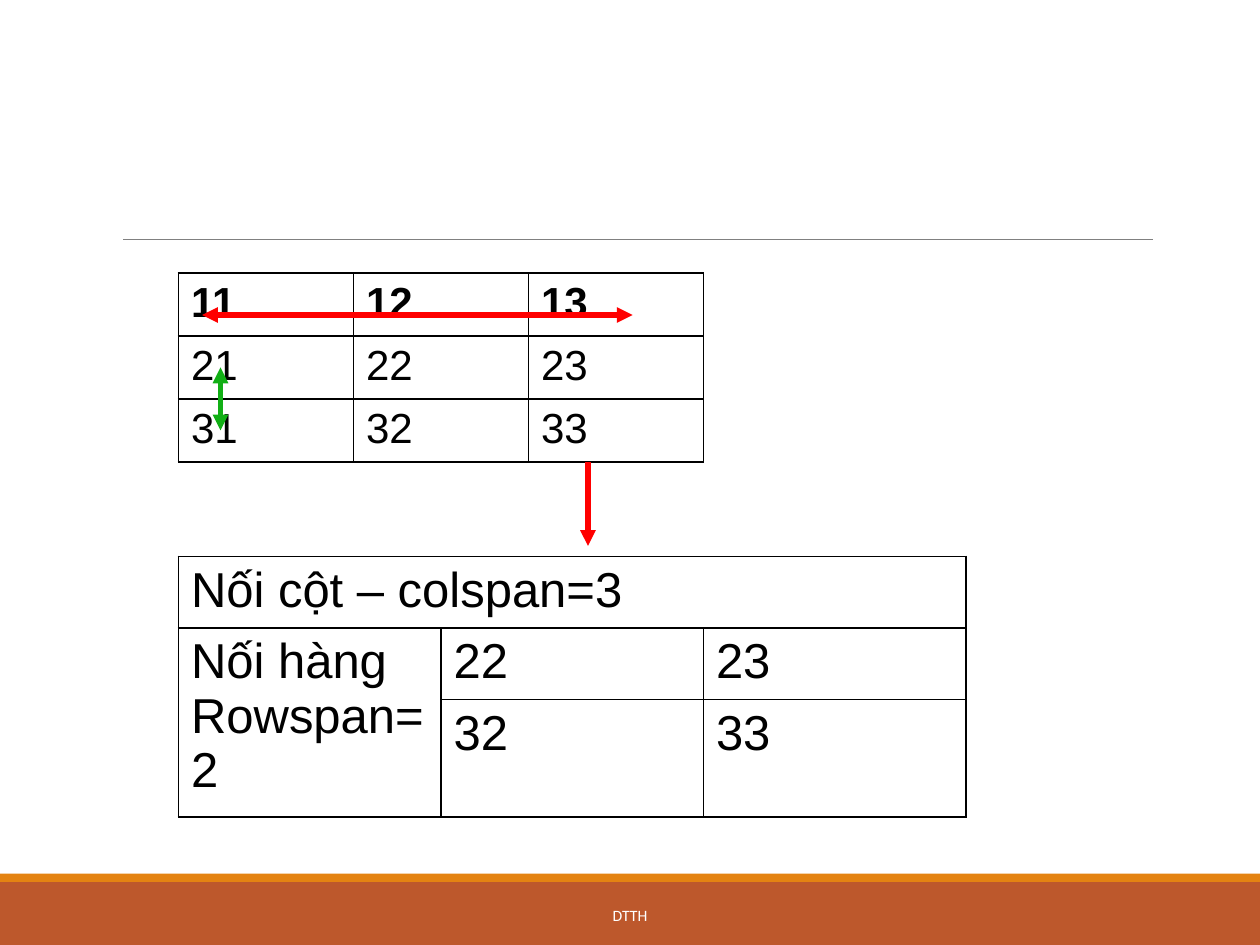
from dataclasses import dataclass

from pptx import Presentation
from pptx import util as u
from pptx.dml import color
from pptx.enum import shapes, text
from pptx.oxml import ns
from lxml import etree


@dataclass(frozen=True)
class Theme:
    black: str = "000000"
    white: str = "FFFFFF"
    gray: str = "808080"
    red: str = "FF0000"
    green: str = "11AF15"
    orange: str = "E48312"
    rust: str = "BD582C"
    body_font: str = "Arial"
    footer_font: str = "Calibri"
    footer_size: int = 9
    source_size: int = 24
    merged_size: int = 28
    arrow_width: float = 3
    rule_width: float = 0.5
    border_width: float = 1


COLUMNS, ROWS = 120, 90


def rgb(value):
    return color.RGBColor.from_string(value)


def add_child(parent, tag, **attributes):
    return etree.SubElement(parent, ns.qn(tag), attributes)


class SlideBuilder:
    def __init__(self, presentation, theme):
        self.theme = theme
        self.unit_x = presentation.slide_width / COLUMNS
        self.unit_y = presentation.slide_height / ROWS
        self.slide = presentation.slides.add_slide(presentation.slide_layouts[6])

    def place(self, x, y):
        return u.Emu(round(x * self.unit_x)), u.Emu(round(y * self.unit_y))

    def style(self, paragraph, font, size, fill, bold=False):
        paragraph.font.name = font
        paragraph.font.size = u.Pt(size)
        paragraph.font.bold = bold
        paragraph.font.color.rgb = rgb(fill)

    def band(self, top, height, fill):
        shape = self.slide.shapes.add_shape(
            shapes.MSO_SHAPE.RECTANGLE, *self.place(0, top), *self.place(COLUMNS, height))
        shape.shadow.inherit = False
        shape.fill.solid()
        shape.fill.fore_color.rgb = rgb(fill)
        shape.line.fill.background()

    def footer(self, words, left, top, width, height):
        box = self.slide.shapes.add_textbox(*self.place(left, top), *self.place(width, height))
        frame = box.text_frame
        frame.word_wrap = True
        frame.vertical_anchor = text.MSO_ANCHOR.MIDDLE
        frame.text = words
        paragraph = frame.paragraphs[0]
        paragraph.alignment = text.PP_ALIGN.CENTER
        self.style(paragraph, self.theme.footer_font, self.theme.footer_size, self.theme.white)

    def line(self, start, end, stroke, width, heads=()):
        connector = self.slide.shapes.add_connector(
            shapes.MSO_CONNECTOR.STRAIGHT, *self.place(*start), *self.place(*end))
        connector.line.color.rgb = rgb(stroke)
        connector.line.width = u.Pt(width)
        outline = connector.line._get_or_add_ln()
        for head in heads:
            add_child(outline, f"a:{head}", type="triangle")
        add_child(connector._element.spPr, "a:effectLst")

    def arrow(self, start, end, stroke, heads=("headEnd", "tailEnd")):
        self.line(start, end, stroke, self.theme.arrow_width, heads)

    def border(self, cell):
        properties = cell._tc.get_or_add_tcPr()
        for position, side in enumerate(("lnL", "lnR", "lnT", "lnB")):
            edge = etree.Element(ns.qn(f"a:{side}"), w=str(u.Pt(self.theme.border_width)))
            add_child(add_child(edge, "a:solidFill"), "a:srgbClr", val=self.theme.black)
            properties.insert(position, edge)

    def table(self, rows, left, top, width, heights, size, merges=(), bold_header=False):
        frame = self.slide.shapes.add_table(
            len(rows), len(rows[0]), *self.place(left, top), *self.place(width, sum(heights)))
        table = frame.table
        table.first_row = table.horz_banding = False
        for row, height in zip(table.rows, heights):
            row.height = self.place(0, height)[1]
        for row_index, row in enumerate(rows):
            for column_index, words in enumerate(row):
                cell = table.cell(row_index, column_index)
                cell.text = words
                cell.fill.background()
                self.border(cell)
                for paragraph in cell.text_frame.paragraphs:
                    self.style(paragraph, self.theme.body_font, size, self.theme.black,
                               bold_header and row_index == 0)
        for first, last in merges:
            table.cell(*first).merge(table.cell(*last))


def main():
    presentation = Presentation()
    presentation.slide_width = u.Inches(10)
    presentation.slide_height = u.Inches(7.5)
    theme = Theme()
    builder = SlideBuilder(presentation, theme)

    builder.band(84, 6, theme.rust)
    builder.band(83.2, 0.8, theme.orange)
    builder.line((11.75, 22.8), (109.8, 22.8), theme.gray, theme.rule_width)
    builder.footer("DTTH", 36.25, 84.75, 47.5, 4.8)

    numbers = [[f"{row}{column}" for column in range(1, 4)] for row in range(1, 4)]
    builder.table(numbers, 17, 26, 50, [5.67] * 3, theme.source_size, bold_header=True)

    merged = [
        ["Nối cột – colspan=3", "", ""],
        ["Nối hàng\nRowspan=2", *numbers[1][1:]],
        ["", *numbers[2][1:]],
    ]
    builder.table(merged, 17, 53, 75, [6.4, 6.4, 10.4], theme.merged_size,
                  merges=[((0, 0), (0, 2)), ((1, 0), (2, 0))])

    builder.arrow((19.25, 30), (60.25, 30), theme.red)
    builder.arrow((21, 35), (21, 41), theme.green)
    builder.arrow((56, 44), (56, 52), theme.red, heads=("tailEnd",))

    presentation.save("out.pptx")


if __name__ == "__main__":
    main()
